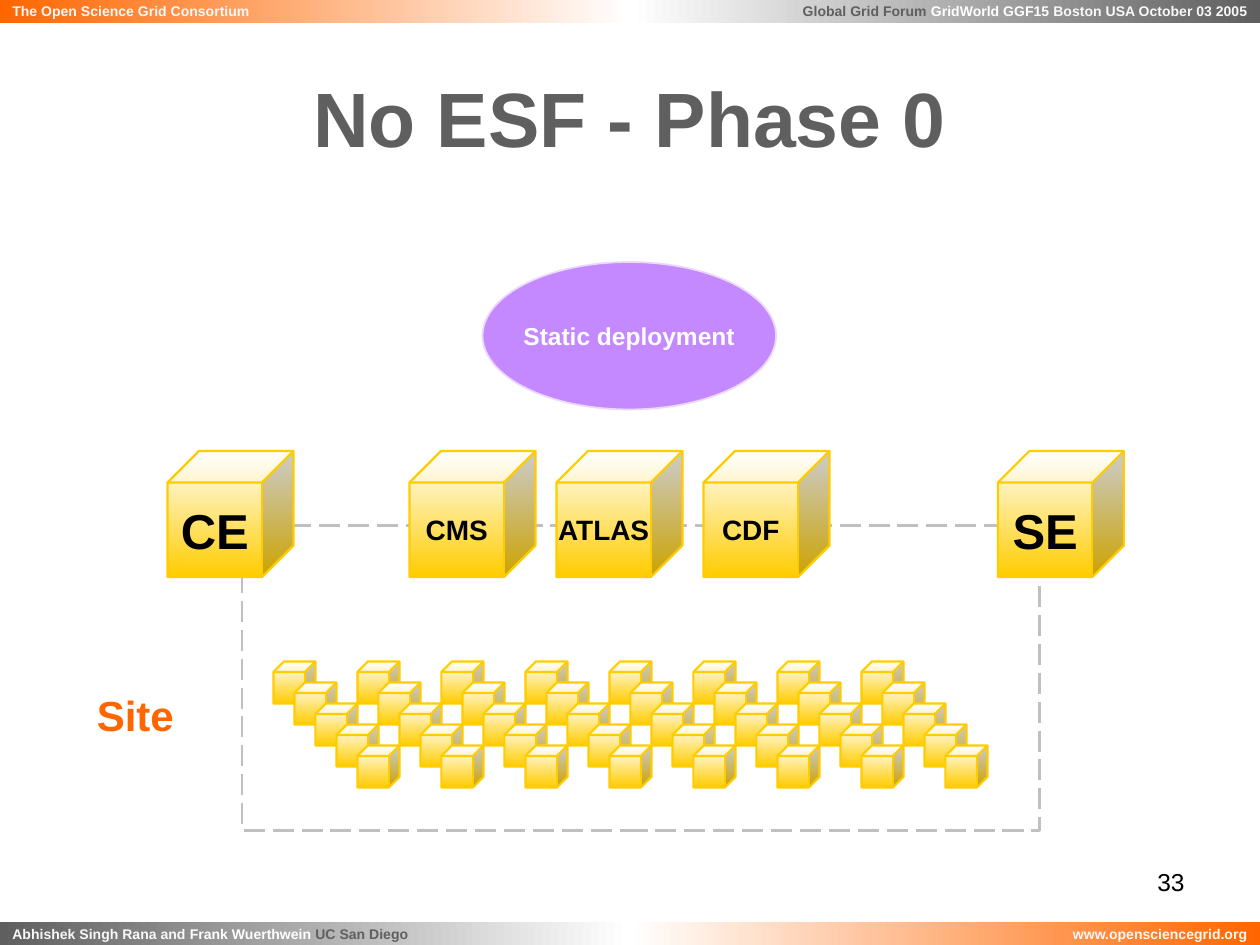
from dataclasses import dataclass

from pptx import Presentation, util as u
from pptx.dml.color import RGBColor
from pptx.enum import dml, shapes, text

KIND = shapes.MSO_SHAPE
SIDE = text.PP_ALIGN
MID = text.MSO_ANCHOR.MIDDLE


@dataclass(frozen=True)
class Theme:
    """Hold the font, colours and type sizes."""
    font: str = "Arial"
    white: str = "FFFFFF"
    pale: str = "F8F8F8"
    grey: str = "5F5F5F"
    black: str = "000000"
    dash: str = "C0C0C0"
    orange: str = "FF6600"
    gold: str = "FFCC00"
    violet: str = "C489FF"
    lilac: str = "EBD7FF"
    tiny: int = 8
    note: int = 14
    label: int = 16
    site: int = 24
    node: int = 28
    title: int = 44


T = Theme()


def rgb(code):
    """Turn a hex code into a colour."""
    return RGBColor.from_string(code)


def blend(shape, start, end, angle):
    """Fill a shape with a two-colour gradient."""
    shape.fill.gradient()
    shape.fill.gradient_angle = angle
    for stop, code in zip(shape.fill.gradient_stops, (start, end)):
        stop.color.rgb = rgb(code)


def edge(shape, code, width):
    """Outline a shape."""
    shape.line.color.rgb = rgb(code)
    shape.line.width = u.Pt(width)


def write(shape, runs, size, align, bold=True, wrap=False, anchor=MID):
    """Write one paragraph of (words, colour) runs."""
    frame = shape.text_frame
    frame.word_wrap = wrap
    frame.vertical_anchor = anchor
    para = frame.paragraphs[0]
    para.alignment = align
    font = para.font
    font.name, font.size, font.bold = T.font, u.Pt(size), bold
    for words, code in runs:
        run = para.add_run()
        run.text = words
        run.font.color.rgb = rgb(code)


def form(slide, kind, box):
    """Add a preset shape without shadow."""
    shape = slide.shapes.add_shape(kind, *map(u.Inches, box))
    shape.shadow.inherit = False
    return shape


def bar(slide, left, top, start, end, align, runs):
    """Add a half-width gradient band with small print."""
    shape = form(slide, KIND.RECTANGLE, (left, top, 5, 0.18))
    blend(shape, start, end, 180)
    shape.line.fill.background()
    write(shape, runs, T.tiny, align)


def cube(slide, left, top, side, name="", size=T.label):
    """Add a gold cube, with a name if given."""
    shape = form(slide, KIND.CUBE, (left, top, side, side))
    shape.adjustments[0] = 0.25
    blend(shape, T.white, T.gold, 270)
    edge(shape, T.gold, 1.25)
    if name:
        write(shape, [(name, T.black)], size, SIDE.CENTER)


def words(slide, box, line, size, code, align, **style):
    """Add a wrapped text box."""
    shape = slide.shapes.add_textbox(*map(u.Inches, box))
    write(shape, [(line, code)], size, align, wrap=True, **style)
    return shape


def bands(slide):
    """Add the header and footer bands."""
    low = 7.32
    bar(slide, 5, 0, T.grey, T.white, SIDE.RIGHT, [
        ("Global Grid Forum ", T.grey),
        ("GridWorld GGF15 ", T.white),
        ("Boston USA October 03 2005", T.pale)])
    bar(slide, 0, low, T.white, T.grey, SIDE.LEFT, [
        ("Abhishek Singh Rana and ", T.pale),
        ("Frank Wuerthwein ", T.white),
        ("UC San Diego", T.grey)])
    bar(slide, 5, low, T.orange, T.white, SIDE.RIGHT,
        [("www.opensciencegrid.org", T.pale)])
    bar(slide, 0, 0, T.white, T.orange, SIDE.LEFT,
        [("The Open Science Grid Consortium", T.pale)])


def border(slide):
    """Add the dashed site border."""
    shape = form(slide, KIND.RECTANGLE, (1.92, 4.17, 6.33, 2.42))
    shape.fill.background()
    edge(shape, T.dash, 1.5)
    shape.line.dash_style = dml.MSO_LINE.LONG_DASH


def farm(slide):
    """Add eight slanted columns of five small cubes."""
    step = 1 / 6
    for col in range(8):
        for row in range(5):
            cube(slide, 2.17 + (4 * col + row) * step,
                 5.25 + row * step, 2 * step)


def cloud(slide):
    """Add the deployment ellipse."""
    shape = form(slide, KIND.OVAL, (3.83, 2.08, 2.33, 1.17))
    shape.fill.solid()
    shape.fill.fore_color.rgb = rgb(T.violet)
    edge(shape, T.lilac, 1)
    write(shape, [("Static deployment", T.white)], T.note, SIDE.CENTER)


def main():
    """Build and save the slide."""
    deck = Presentation()
    deck.slide_width, deck.slide_height = u.Inches(10), u.Inches(7.5)
    slide = deck.slides.add_slide(deck.slide_layouts[6])
    top = text.MSO_ANCHOR.TOP
    bands(slide)
    words(slide, (0.5, 0.3, 9, 1.25), "No ESF - Phase 0", T.title, T.grey,
          SIDE.CENTER)
    border(slide)
    site = words(slide, (0.67, 5.42, 1.17, 0.5), "Site", T.site, T.orange,
                 SIDE.LEFT, anchor=top)
    site.text_frame.auto_size = text.MSO_AUTO_SIZE.SHAPE_TO_FIT_TEXT
    for name, left in (("SE", 7.92), ("CE", 1.33)):
        cube(slide, left, 3.58, 1, name, T.node)
    farm(slide)
    cloud(slide)
    for spot, name in enumerate(("CMS", "ATLAS", "CDF")):
        cube(slide, 3.25 + spot * 7 / 6, 3.58, 1, name)
    words(slide, (7.17, 6.83, 2.33, 0.52), "33", T.note, T.black,
          SIDE.RIGHT, bold=False, anchor=top)
    deck.save("out.pptx")


if __name__ == "__main__":
    main()
